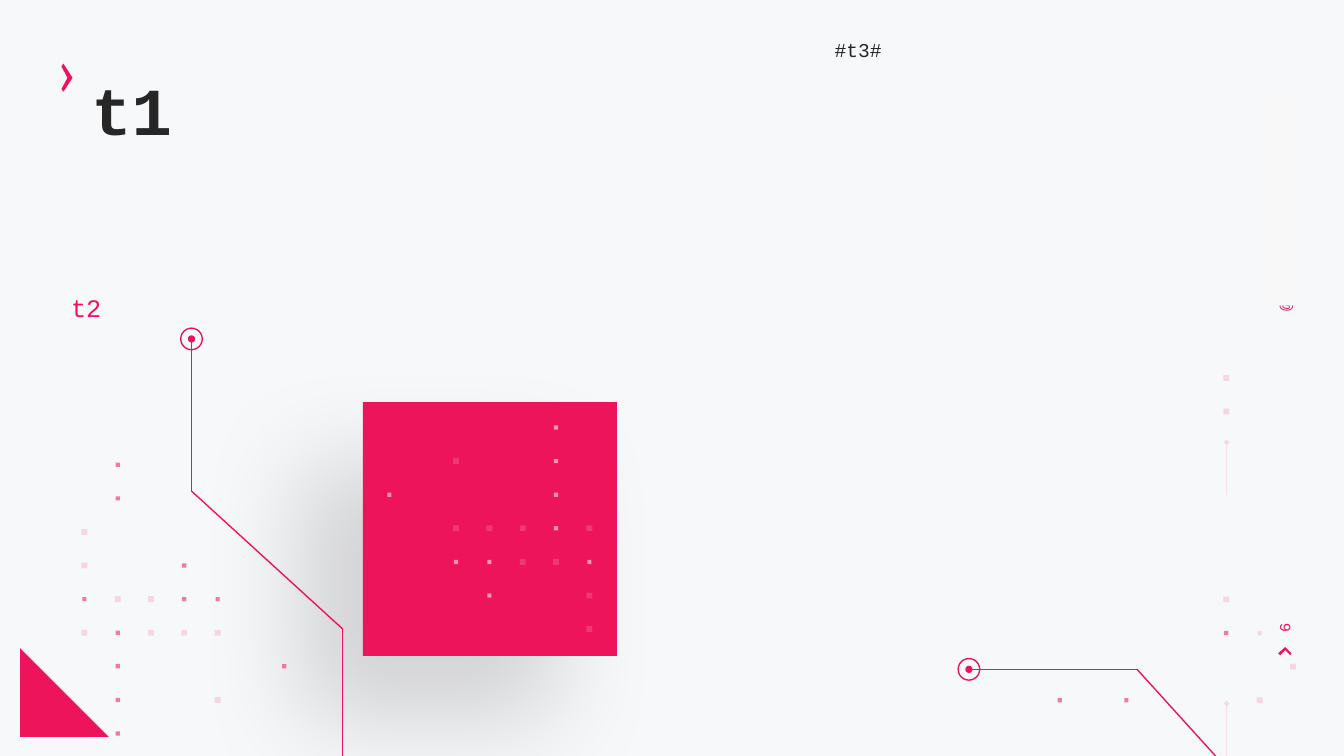
from lxml import etree
from pptx import Presentation
from pptx.dml.color import RGBColor
from pptx.enum.shapes import MSO_CONNECTOR, MSO_SHAPE
from pptx.enum.text import MSO_ANCHOR, MSO_AUTO_SIZE, PP_ALIGN
from pptx.oxml.ns import qn
from pptx.util import Pt

RECT, OVAL, WEDGE = MSO_SHAPE.RECTANGLE, MSO_SHAPE.OVAL, MSO_SHAPE.RIGHT_TRIANGLE
STRAIGHT = MSO_CONNECTOR.STRAIGHT
MIDDLE, TOP = MSO_ANCHOR.MIDDLE, MSO_ANCHOR.TOP
GROW = MSO_AUTO_SIZE.SHAPE_TO_FIT_TEXT
LEFT = PP_ALIGN.LEFT

FONT = "Courier New"
HEX = {"pink": "ED145B", "ink": "262626", "white": "FFFFFF", "page": "F7F8FA", "cover": "F8F8F8"}
RGB = {name: RGBColor.from_string(code) for name, code in HEX.items()}

deck = Presentation()
deck.slide_width, deck.slide_height = Pt(960), Pt(540)
slide = deck.slides.add_slide(deck.slide_layouts[5])
shapes = slide.shapes
slide.background.fill.solid()
slide.background.fill.fore_color.rgb = RGB["page"]


def fade(item, pct):
    """Set the opacity of the first colour of a shape or line."""
    color = next(item._element.spPr.iter(qn("a:srgbClr")))
    etree.SubElement(color, qn("a:alpha")).set("val", str(pct * 1000))


def plain(shape, color):
    """Give a shape a flat fill, with no line and no shadow."""
    shape.shadow.inherit = False
    shape.fill.solid()
    shape.fill.fore_color.rgb = RGB[color]
    shape.line.fill.background()
    return shape


# Square with a soft shadow to the lower left
square = plain(shapes.add_shape(RECT, Pt(259.2), Pt(287.2), Pt(181.4), Pt(181.4)), "pink")
shadow = etree.SubElement(
    square._element.spPr.find(qn("a:effectLst")), qn("a:outerShdw"),
    blurRad=str(Pt(75)), dist=str(Pt(63)), dir=str(135 * 60000), rotWithShape="0")
tint = etree.SubElement(shadow, qn("a:srgbClr"), val="000000")
etree.SubElement(tint, qn("a:alpha"), val="15000")

# Dot fields: each mark stands for a dot of one size and opacity
DOTS = {"o": (4.2, 15), "x": (3, 55), "+": (3, 15)}
STEP_X, STEP_Y = 23.8, 24
fields = [
    (60.3, 332, "pink",
     [".x", ".x", "o", "o..x", "xooxx", "oxooo", ".x....x", ".x..o", ".x"]),
    (757, 428.2, "pink", [".....o", ".....x+", ".......o", "x.x...o"]),
    (875.9, 270, "pink", ["o", "o"]),
    (278.2, 305.4, "white",
     [".....x", "..o..x", "x....x", "..oooxo", "..xxoox", "...x..o", "......o"]),
]
for left, top, color, rows in fields:
    for row, marks in enumerate(rows):
        for col, mark in enumerate(marks):
            if mark == ".":
                continue
            size, pct = DOTS[mark]
            x = left + col * STEP_X - size / 2
            y = top + row * STEP_Y - size / 2
            dot = shapes.add_shape(RECT, Pt(x), Pt(y), Pt(size), Pt(size))
            fade(plain(dot, color), pct)

plain(shapes.add_shape(WEDGE, Pt(14.4), Pt(463), Pt(63.4), Pt(63.4)), "pink")

# Chevrons beside the title and above the page number
chevrons = [
    [(43.9, 47.5), (48.2, 55.6), (43.9, 63.6), (45.3, 65.5), (51.8, 55.6), (45.3, 45.4)],
    [(914.4, 468), (918, 464.4), (921.6, 468), (922.5, 466.6), (918, 462.2), (913, 466.6)],
]
for points in chevrons:
    start, *rest = [(Pt(x), Pt(y)) for x, y in points]
    outline = shapes.build_freeform(*start, scale=1)
    outline.add_line_segments(rest, close=True)
    plain(outline.convert_to_shape(), "pink")

# Circuit traces, and two faint ones with diamond ends
traces = [
    ([(136.8, 242), (136.8, 350.8), (244.8, 449.3), (244.8, 540)], 1, False),
    ([(692, 478.1), (812.2, 478.1), (868.3, 540)], 1, False),
    ([(876.2, 502.5), (876.2, 540)], 0.5, True),
    ([(876.2, 316), (876.2, 353.5)], 0.5, True),
]
for points, width, faint in traces:
    for (x1, y1), (x2, y2) in zip(points, points[1:]):
        trace = shapes.add_connector(STRAIGHT, Pt(x1), Pt(y1), Pt(x2), Pt(y2))
        trace.line.color.rgb = RGB["pink"]
        trace.line.width = Pt(width)
        etree.SubElement(trace._element.spPr, qn("a:effectLst"))
        if faint:
            fade(trace, 15)
            line = trace._element.spPr.find(qn("a:ln"))
            etree.SubElement(line, qn("a:headEnd"), type="diamond", w="sm", len="sm")

for x, y in [(136.8, 242.1), (692.1, 478.1)]:
    ring = plain(shapes.add_shape(OVAL, Pt(x - 7.7), Pt(y - 7.7), Pt(15.4), Pt(15.4)), "pink")
    ring.fill.background()
    ring.line.color.rgb = RGB["pink"]
    ring.line.width = Pt(1)
    plain(shapes.add_shape(OVAL, Pt(x - 2.6), Pt(y - 2.6), Pt(5.2), Pt(5.2)), "pink")

# Texts: box, turn, size, colour, anchor, space before, line spacing
texts = [
    ("t1", (58, 44.7, 290.2, 65.5), 0, 48, "ink", MIDDLE, 10, 1),
    ("#t3#", (589, 19.4, 354.2, 26.6), 0, 14, "ink", MIDDLE, 9, 1.3),
    ("t2", (43.7, 200.2, 260, 32.4), 0, 18, "pink", MIDDLE, 9, 1.3),
    ("@", (906, 207.3, 24, 20.9), 270, 11, "pink", TOP, 0, 1),
    ("6", (890.6, 421.2, 54, 20.9), 270, 11, "pink", TOP, 0, 1),
]
for words, place, turn, size, color, anchor, before, spacing in texts:
    place = [Pt(n) for n in place]
    if words == "t1":
        box = shapes.title
        box.left, box.top, box.width, box.height = place
    else:
        box = shapes.add_textbox(*place)
    box.rotation = turn
    frame = box.text_frame
    frame.word_wrap = True
    frame.auto_size = GROW
    frame.vertical_anchor = anchor
    para = frame.paragraphs[0]
    para.alignment = LEFT
    para.space_before = Pt(before)
    para.line_spacing = spacing
    run = para.add_run()
    run.text = words
    run.font.name = FONT
    run.font.size = Pt(size)
    run.font.bold = words == "t1"
    run.font.color.rgb = RGB[color]

plain(shapes.add_shape(RECT, Pt(906.5), Pt(67), Pt(25.2), Pt(151.2)), "cover")

deck.save("out.pptx")
